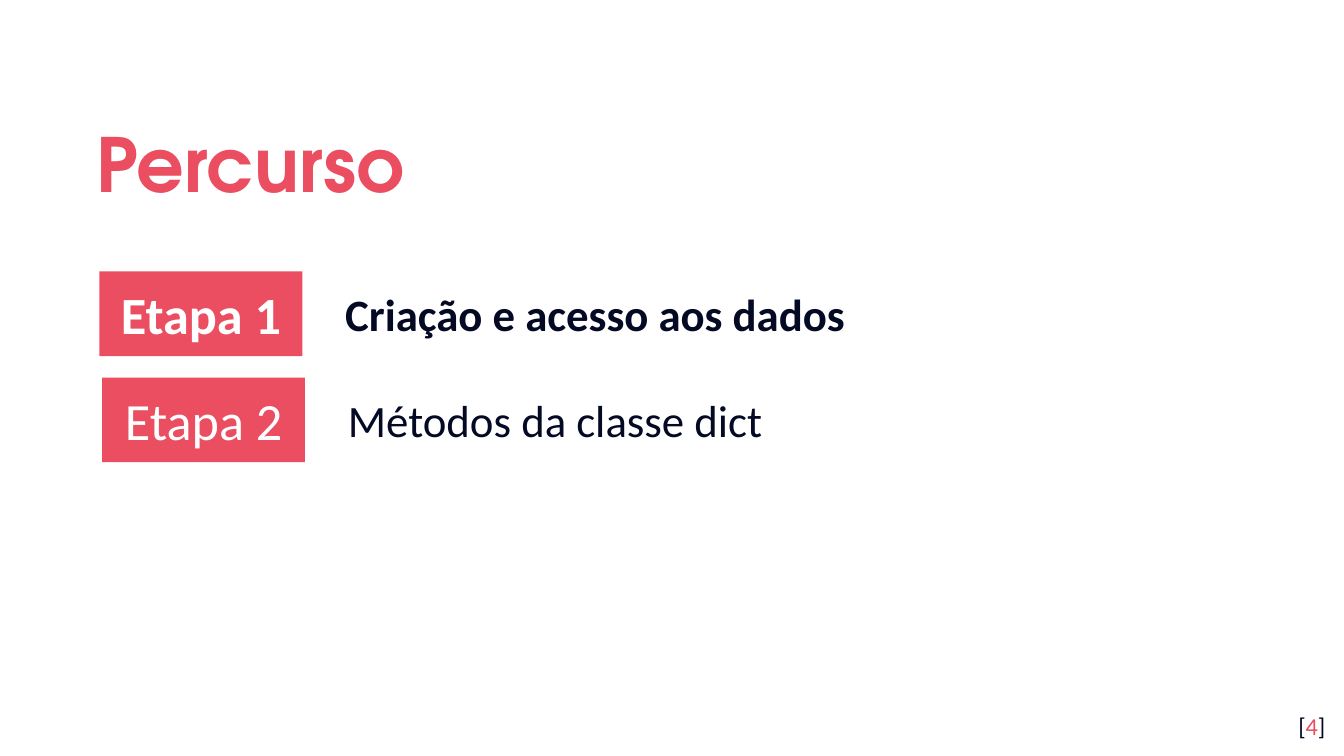
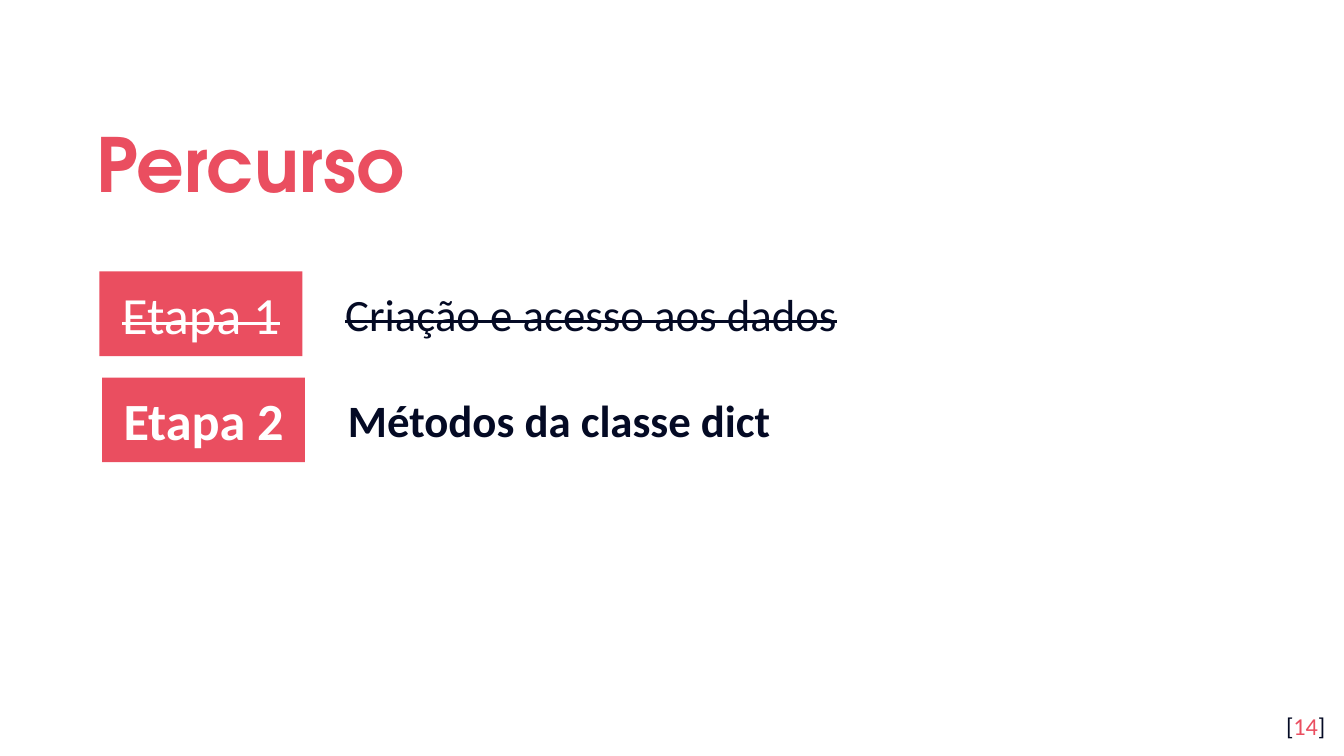
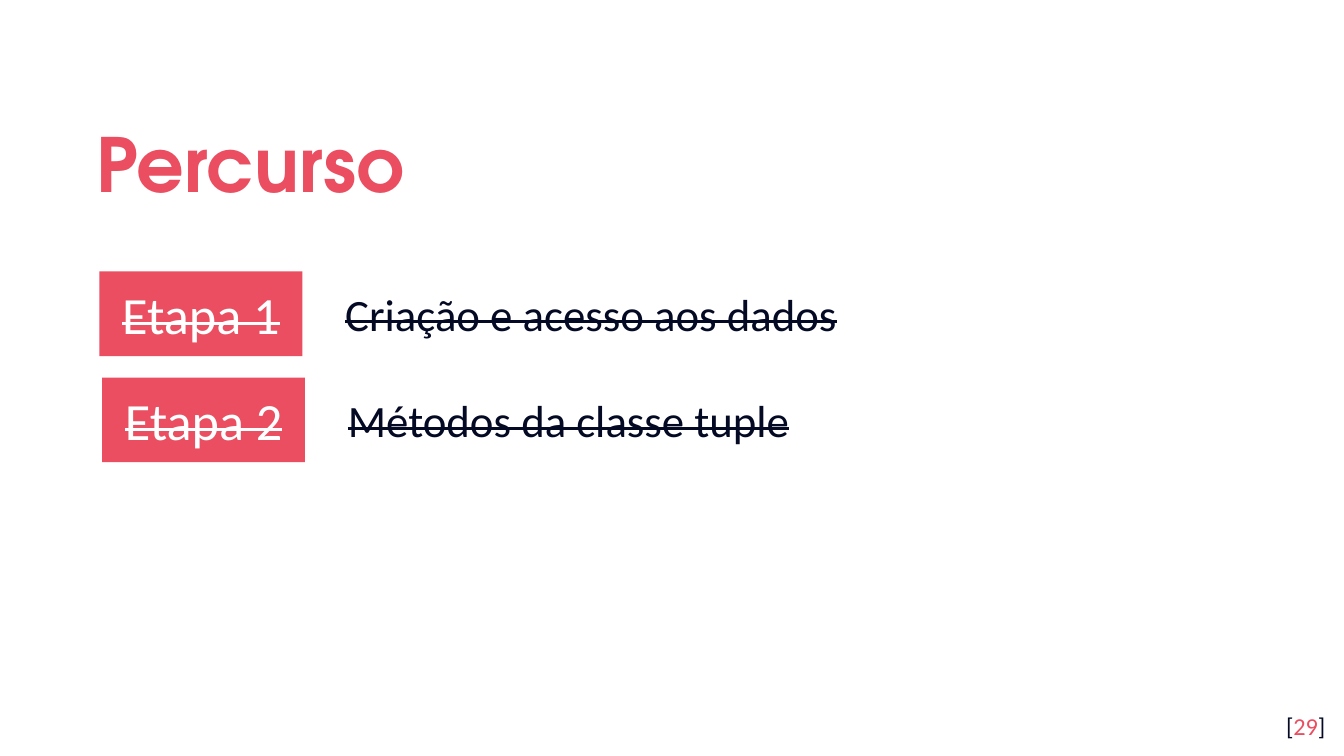
from pptx import Presentation
from pptx.dml.color import RGBColor
from pptx.enum.shapes import MSO_SHAPE
from pptx.enum.text import MSO_ANCHOR, PP_ALIGN
from pptx.util import Inches, Pt

# Shared style
COLORS = {"accent": "EA4E60", "ink": "040A24", "paper": "FFFFFF"}
TITLE_FONT = "TeX Gyre Adventor"
BODY_FONT = "Calibri"

# Widescreen slide, 16:9
SLIDE_WIDTH = 10
SLIDE_HEIGHT = SLIDE_WIDTH * 9 / 16

# Step list: first row, distance between rows and small shift to the right
LIST_LEFT, LIST_TOP = 0.74, 2.02
ROW_PITCH, ROW_SHIFT = 0.79, 0.02
TAG_WIDTH, TAG_HEIGHT = 1.51, 0.63
TOPIC_OFFSET, TOPIC_WIDTH, TOPIC_HEIGHT = 1.73, 6.75, 0.5

# Step states
CURRENT, PENDING, DONE = "current", "pending", "done"

FIRST_TOPIC = "Criação e acesso aos dados"
DICT_TOPIC = "Métodos da classe dict"
TUPLE_TOPIC = "Métodos da classe tuple"

# Page number and its steps (topic, state)
PAGES = [
    (4, [(FIRST_TOPIC, CURRENT), (DICT_TOPIC, PENDING)]),
    (14, [(FIRST_TOPIC, DONE), (DICT_TOPIC, CURRENT)]),
    (29, [(FIRST_TOPIC, DONE), (TUPLE_TOPIC, DONE)]),
]


def color(name):
    return RGBColor.from_string(COLORS[name])


def style_run(run, size, color_name, font=BODY_FONT, bold=False, strike=False):
    run.font.name = font
    run.font.size = Pt(size)
    run.font.bold = bold
    run.font.color.rgb = color(color_name)
    if strike:
        run.font._element.set("strike", "sngStrike")


def style_step(run, size, color_name, state):
    style_run(run, size, color_name, bold=state == CURRENT, strike=state == DONE)


def set_indent(paragraph, left, first_line):
    properties = paragraph._p.get_or_add_pPr()
    properties.set("marL", str(Inches(left)))
    properties.set("indent", str(Inches(first_line)))


def set_frame(text_frame, vertical_margin=0.1, anchor=MSO_ANCHOR.TOP):
    text_frame.word_wrap = True
    text_frame.vertical_anchor = anchor
    text_frame.margin_left = text_frame.margin_right = Inches(0.1)
    text_frame.margin_top = text_frame.margin_bottom = Inches(vertical_margin)


def add_text_box(slide, left, top, width, height, **frame_options):
    box = slide.shapes.add_textbox(
        Inches(left), Inches(top), Inches(width), Inches(height))
    set_frame(box.text_frame, **frame_options)
    return box.text_frame.paragraphs[0]


def add_title(slide, text):
    paragraph = add_text_box(slide, 0.62, 0.7, 8.1, 0.92, anchor=MSO_ANCHOR.MIDDLE)
    paragraph.text = text
    paragraph.line_spacing = 1.15
    style_run(paragraph.runs[0], 40, "accent", font=TITLE_FONT, bold=True)


def add_page_number(slide, number):
    paragraph = add_text_box(slide, 9.36, 5.19, 0.6, 0.43)
    paragraph.alignment = PP_ALIGN.RIGHT
    for text, color_name in (("[", "ink"), (str(number), "accent"), ("]", "ink")):
        run = paragraph.add_run()
        run.text = text
        style_run(run, 13, color_name)


def add_tag(slide, left, top, text, state):
    shape = slide.shapes.add_shape(
        MSO_SHAPE.RECTANGLE,
        Inches(left), Inches(top), Inches(TAG_WIDTH), Inches(TAG_HEIGHT))
    shape.shadow.inherit = False
    shape.fill.solid()
    shape.fill.fore_color.rgb = color("accent")
    shape.line.fill.background()
    set_frame(shape.text_frame, anchor=MSO_ANCHOR.MIDDLE)
    paragraph = shape.text_frame.paragraphs[0]
    paragraph.text = text
    paragraph.level = 1
    paragraph.alignment = PP_ALIGN.CENTER
    set_indent(paragraph, 0, 0)
    style_step(paragraph.runs[0], 28, "paper", state)


def add_topic(slide, left, top, text, state):
    paragraph = add_text_box(
        slide, left, top, TOPIC_WIDTH, TOPIC_HEIGHT, vertical_margin=0.05)
    paragraph.text = text
    set_indent(paragraph, 0.5, -0.5)
    style_step(paragraph.runs[0], 24, "ink", state)


def add_steps(slide, steps):
    for row, (topic, state) in enumerate(steps):
        left = LIST_LEFT + row * ROW_SHIFT
        top = LIST_TOP + row * ROW_PITCH
        topic_top = top + (TAG_HEIGHT - TOPIC_HEIGHT) / 2
        add_tag(slide, left, top, f"Etapa {row + 1}", state)
        add_topic(slide, left + TOPIC_OFFSET, topic_top, topic, state)


def add_page(presentation, number, steps):
    slide = presentation.slides.add_slide(presentation.slide_layouts[6])
    slide.background.fill.solid()
    slide.background.fill.fore_color.rgb = color("paper")
    add_title(slide, "Percurso")
    add_page_number(slide, number)
    add_steps(slide, steps)


def main():
    presentation = Presentation()
    presentation.slide_width = Inches(SLIDE_WIDTH)
    presentation.slide_height = Inches(SLIDE_HEIGHT)
    for number, steps in PAGES:
        add_page(presentation, number, steps)
    presentation.save("out.pptx")


if __name__ == "__main__":
    main()
